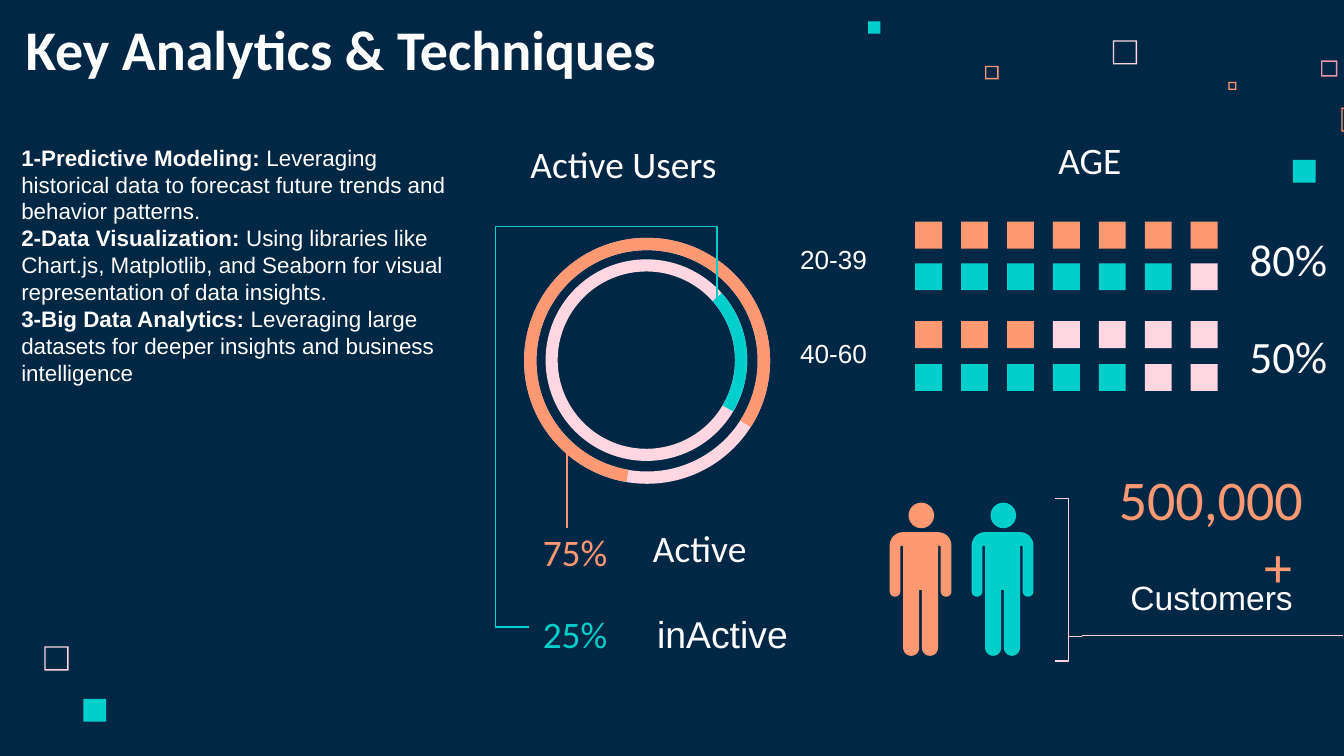
from dataclasses import dataclass
from math import cos, radians, sin

from lxml.etree import SubElement
from pptx import Presentation
from pptx.dml.color import RGBColor
from pptx.enum.shapes import MSO_CONNECTOR as Link, MSO_SHAPE as Preset
from pptx.enum.text import MSO_ANCHOR as Anchor, PP_ALIGN as Align
from pptx.oxml.ns import qn
from pptx.util import Inches, Pt


@dataclass(frozen=True)
class Theme:
    navy: str = "002845"
    white: str = "FFFFFF"
    orange: str = "FF9973"
    teal: str = "00CFCC"
    blush: str = "FFD6E1"
    rose: str = "E898AC"
    heading_font: str = "Calibri"
    body_font: str = "Arial"
    title: int = 30
    percent: int = 24
    label: int = 20
    caption: int = 18
    age: int = 14
    body: int = 12
    rule: float = 0.75


THEME = Theme()


@dataclass(frozen=True)
class Label:
    text: str
    x: float
    y: float
    width: float
    size: int
    color: str = THEME.white
    font: str = THEME.heading_font
    align: Align = Align.LEFT
    anchor: Anchor = Anchor.TOP


@dataclass(frozen=True)
class Square:
    x: float
    y: float
    size: float
    color: str
    hollow: bool = True


@dataclass(frozen=True)
class AgeRow:
    y: float
    filled: int
    color: str


SQUARES = [
    Square(8.28, 0.3, 0.18, THEME.blush), Square(9.83, 0.45, 0.12, THEME.rose),
    Square(9.14, 0.61, 0.06, THEME.orange), Square(9.98, 0.8, 0.18, THEME.orange),
    Square(9.62, 1.19, 0.17, THEME.teal, False), Square(7.33, 0.49, 0.1, THEME.orange),
    Square(6.46, 0.16, 0.09, THEME.teal, False), Square(0.33, 4.81, 0.18, THEME.blush),
    Square(0.62, 5.2, 0.17, THEME.teal, False),
]
AGE_ROWS = [
    AgeRow(1.65, 7, THEME.orange), AgeRow(1.96, 6, THEME.teal),
    AgeRow(2.39, 3, THEME.orange), AgeRow(2.71, 5, THEME.teal),
]
LABELS = [
    Label("Active Users", 3.61, 0.95, 2.06, THEME.label, align=Align.CENTER),
    Label("AGE", 7.08, 0.92, 2.06, THEME.label, align=Align.CENTER),
    Label("75%", 3.94, 3.84, 0.92, THEME.label, THEME.orange),
    Label("25%", 3.94, 4.45, 0.92, THEME.label, THEME.teal),
    Label("Active", 4.76, 3.81, 1.98, THEME.label),
    Label("inActive", 4.79, 4.45, 1.42, THEME.label, font=THEME.body_font),
    Label("20-39", 5.23, 1.71, 1.32, THEME.age, font=THEME.body_font,
          align=Align.RIGHT, anchor=Anchor.MIDDLE),
    Label("40-60", 5.63, 2.41, 0.92, THEME.age, font=THEME.body_font,
          align=Align.RIGHT, anchor=Anchor.MIDDLE),
    Label("80%", 9.2, 1.71, 1.32, THEME.percent, anchor=Anchor.MIDDLE),
    Label("50%", 9.2, 2.43, 0.92, THEME.percent, anchor=Anchor.MIDDLE),
    Label("Customers", 8.06, 4.19, 1.91, THEME.caption, font=THEME.body_font,
          align=Align.CENTER),
]
TECHNIQUES = [
    ("1-Predictive Modeling: ", "Leveraging historical data to forecast future trends "
     "and behavior patterns."),
    ("2-Data Visualization: ", "Using libraries like Chart.js, Matplotlib, and Seaborn "
     "for visual representation of data insights."),
    ("3-Big Data Analytics: ", "Leveraging large datasets for deeper insights and "
     "business intelligence"),
]


def style_run(run, size: int, color: str, font: str, bold: bool = False) -> None:
    run.font.size, run.font.name, run.font.bold = Pt(size), font, bold
    run.font.color.rgb = RGBColor.from_string(color)


def set_frame(frame, anchor: Anchor) -> None:
    frame.word_wrap, frame.vertical_anchor = True, anchor
    frame.margin_left = frame.margin_right = Inches(0.1)
    frame.margin_top = frame.margin_bottom = Inches(0.1)


def paint(shape, color: str) -> None:
    shape.shadow.inherit = False
    shape.fill.solid()
    shape.fill.fore_color.rgb = RGBColor.from_string(color)
    shape.line.fill.background()


def add_preset(shapes, preset: Preset, x: float, y: float, width: float, height: float,
               color: str, adjustments: tuple = ()):
    shape = shapes.add_shape(preset, Inches(x), Inches(y), Inches(width), Inches(height))
    for index, value in enumerate(adjustments):
        shape.adjustments[index] = value
    paint(shape, color)
    return shape


def add_line(shapes, kind: Link, start: tuple, end: tuple, color: str):
    line = shapes.add_connector(kind, *map(Inches, start + end))
    line.line.color.rgb = RGBColor.from_string(color)
    line.line.width = Pt(THEME.rule)
    SubElement(line._element.spPr, qn("a:effectLst"))
    return line


def add_label(shapes, label: Label):
    box = shapes.add_textbox(Inches(label.x), Inches(label.y), Inches(label.width), Inches(0.43))
    set_frame(box.text_frame, label.anchor)
    paragraph = box.text_frame.paragraphs[0]
    paragraph.text = label.text
    paragraph.alignment = label.align
    style_run(paragraph.runs[0], label.size, label.color, label.font)
    return paragraph


def arc(x: float, y: float, radius: float, start: int, end: int) -> list[tuple[float, float]]:
    angles = [radians(start + (end - start) * step / 12) for step in range(13)]
    return [(x + radius * cos(angle), y + radius * sin(angle)) for angle in angles]


def add_person(shapes, center: float, color: str) -> None:
    """Half of the body (shoulder, hand, armpit, foot) is mirrored about the center."""
    half = (arc(0.13, 0.1, 0.1, -90, 0) + arc(0.19, 0.44, 0.04, 0, 180)
            + arc(0.14, 0.11, 0.01, 0, -180) + arc(0.07, 0.86, 0.06, 0, 180)
            + [(0.01, 0.43)])
    outline = half + [(-x, y) for x, y in reversed(half)]
    points = [(Inches(center + x), Inches(3.96 + y)) for x, y in outline]
    person = shapes.add_group_shape().shapes
    builder = person.build_freeform(*points[0])
    builder.add_line_segments(points[1:], close=True)
    paint(builder.convert_to_shape(), color)
    add_preset(person, Preset.OVAL, center - 0.09, 3.74, 0.19, 0.19, color)


def add_techniques(shapes) -> None:
    box = shapes.add_textbox(Inches(0.06), Inches(1.14), Inches(3.48), Inches(1.83))
    frame = box.text_frame
    set_frame(frame, Anchor.BOTTOM)
    for index, technique in enumerate(TECHNIQUES):
        paragraph = frame.add_paragraph() if index else frame.paragraphs[0]
        for text, bold in zip(technique, (True, False)):
            run = paragraph.add_run()
            run.text = text
            style_run(run, THEME.body, THEME.white, THEME.body_font, bold)


def main() -> None:
    deck = Presentation()
    deck.slide_width = Inches(10)
    deck.slide_height = deck.slide_width * 9 // 16
    slide = deck.slides.add_slide(deck.slide_layouts[5])
    slide.background.fill.solid()
    slide.background.fill.fore_color.rgb = RGBColor.from_string(THEME.navy)
    shapes = slide.shapes

    # Scattered squares
    for square in SQUARES:
        add_preset(shapes, Preset.FRAME if square.hollow else Preset.RECTANGLE,
                   square.x, square.y, square.size, square.size, square.color,
                   (0.01 / square.size,) if square.hollow else ())

    # Title and techniques
    title = shapes.title
    title.left, title.top, title.width, title.height = map(Inches, (0.09, 0.08, 6.88, 0.63))
    title.text_frame.text = "Key Analytics & Techniques"
    set_frame(title.text_frame, Anchor.BOTTOM)
    heading = title.text_frame.paragraphs[0]
    heading.alignment = Align.LEFT
    style_run(heading.runs[0], THEME.title, THEME.white, THEME.heading_font, True)
    add_techniques(shapes)

    # Active users rings, each with its highlighted arc
    for x, y, size, band, color, start, end in (
            (3.9, 1.77, 1.83, 0.05, THEME.orange, 59.81, 19.57),
            (4.06, 1.93, 1.5, 0.06, THEME.teal, 191.01, 18.4)):
        add_preset(shapes, Preset.DONUT, x, y, size, size, THEME.blush, (band,))
        add_preset(shapes, Preset.BLOCK_ARC, x, y, size, size, color, (start, end, band))

    # Leader lines: the bent one is turned a quarter to leave the ring upwards
    leader = add_line(shapes, Link.ELBOW, (5.86, 4.14), (3.41, 2.74), THEME.teal)
    leader._element.spPr.find(qn("a:xfrm")).set("rot", "16200000")
    geometry = leader._element.spPr.find(qn("a:prstGeom"))
    geometry.set("prst", "bentConnector4")
    for name, value in (("adj1", -21700), ("adj2", 117800)):
        SubElement(geometry.find(qn("a:avLst")), qn("a:gd"), name=name, fmla=f"val {value}")
    add_line(shapes, Link.STRAIGHT, (4.22, 3.93), (4.22, 3.36), THEME.orange)

    # Age grid
    for row in AGE_ROWS:
        for column in range(7):
            add_preset(shapes, Preset.RECTANGLE, 6.81 + 2.05 / 6 * column, row.y, 0.2, 0.2,
                       row.color if column < row.filled else THEME.blush)

    # Customers
    add_person(shapes, 6.85, THEME.orange)
    add_person(shapes, 7.46, THEME.teal)
    brace = add_preset(shapes, Preset.RIGHT_BRACE, 7.85, 3.71, 0.2, 1.21, THEME.blush, (0, 0.85))
    brace.fill.background()
    brace.line.color.rgb = RGBColor.from_string(THEME.blush)
    brace.line.width = Pt(THEME.rule)
    add_line(shapes, Link.STRAIGHT, (8.05, 4.73), (9.99, 4.73), THEME.blush)
    total = add_label(shapes, Label("500,000+", 8.14, 3.74, 1.74, THEME.title, THEME.orange,
                                    align=Align.CENTER, anchor=Anchor.MIDDLE))
    hanging = total._p.get_or_add_pPr()
    hanging.set("marL", str(Inches(1)))
    hanging.set("indent", str(Inches(-1)))

    # Labels
    for label in LABELS:
        add_label(shapes, label)

    deck.save("out.pptx")


if __name__ == "__main__":
    main()
